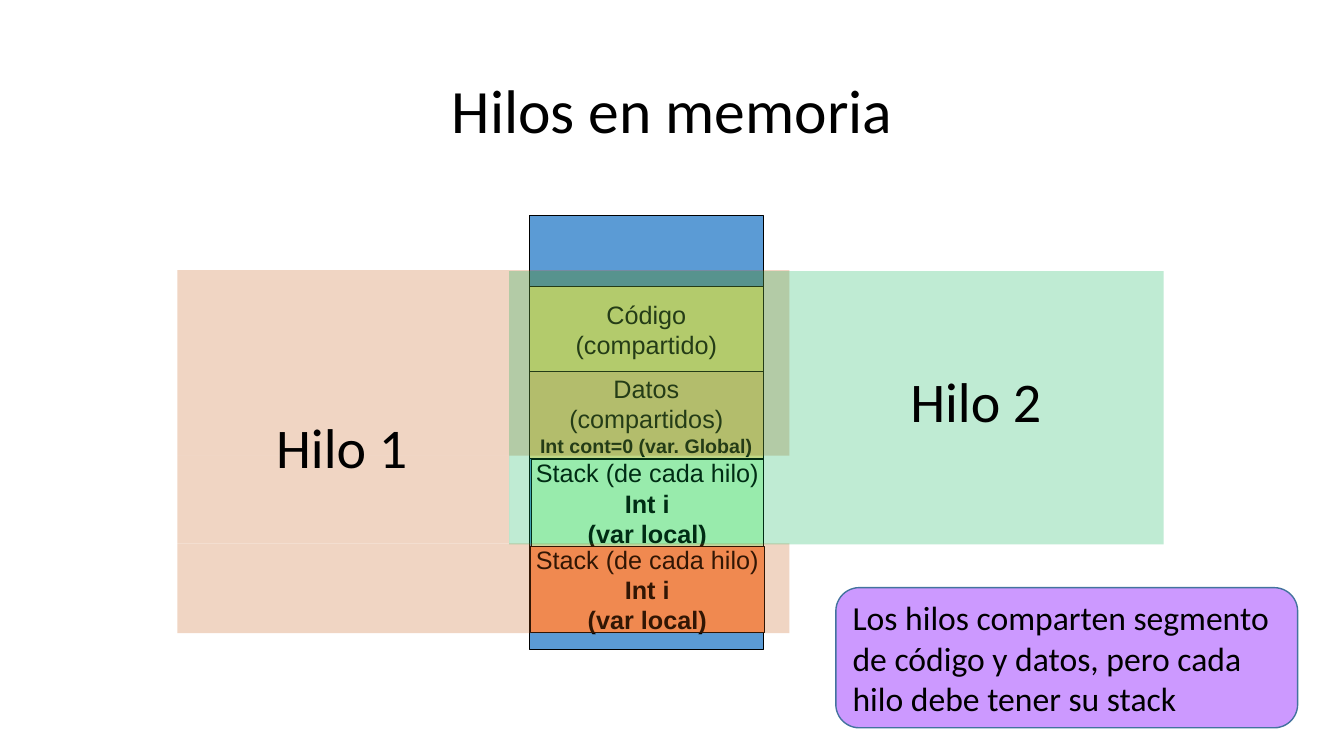
from lxml import etree
from pptx import Presentation
from pptx.dml.color import RGBColor
from pptx.enum.shapes import MSO_SHAPE as SHAPE
from pptx.enum.text import MSO_ANCHOR as ANCHOR, MSO_AUTO_SIZE as AUTO, PP_ALIGN as ALIGN
from pptx.oxml.ns import qn
from pptx.util import Inches, Pt

ARIAL = {"name": "Arial", "size": Pt(18)}
STACK = [("Stack (de cada hilo)", {}), ("Int i", {"bold": True}),
         ("(var local)", {"bold": True})]

# Memory segments: left, top, width, fill, lines
SEGMENT_H = 0.86
SEGMENTS = [
    (5.25, 2.84, 2.32, "FFFF99", [("Código", {}), ("(compartido)", {})]),
    (5.25, 3.69, 2.32, "FFE699",
     [("Datos", {}), ("(compartidos)", {}),
      ("Int cont=0 (var. Global)", {"bold": True, "size": Pt(14)})]),
    (5.27, 4.56, 2.3, "CCFFCC", STACK),
    (5.26, 5.42, 2.32, "FF9966", STACK),
]

# Hilo 1 wraps around the stack of Hilo 2
THREAD_1 = [(1.76, 2.68, 6.07, 1.84), (1.76, 5.39, 6.07, 0.89), (1.76, 4.52, 3.29, 0.87)]
THREAD_2 = (5.05, 2.69, 6.49, 2.71)


def rgb(color):
    return RGBColor.from_string(color)


def set_attrs(obj, values):
    for name, value in values.items():
        setattr(obj, name, value)


def write(sp, lines, font, frame=None, para=None):
    """Fill a shape with paragraphs given as (text, font changes)."""
    tf = sp.text_frame
    set_attrs(tf, {"word_wrap": True, **(frame or {})})
    for i, (text, changes) in enumerate(lines):
        p = tf.paragraphs[0] if i == 0 else tf.add_paragraph()
        set_attrs(p, {"alignment": ALIGN.LEFT, **(para or {})})
        r = p.add_run()
        r.text = text
        set_attrs(r.font, {**font, **changes})
        r.font.color.rgb = rgb("000000")


def add_box(shapes, box, fill, line=None, width=0.75, kind=SHAPE.RECTANGLE):
    sp = shapes.add_shape(kind, *map(Inches, box))
    sp.shadow.inherit = False
    sp.fill.solid()
    sp.fill.fore_color.rgb = rgb(fill)
    if line:
        sp.line.color.rgb = rgb(line)
        sp.line.width = Pt(width)
    else:
        sp.line.fill.background()
    return sp


def add_veil(shapes, box, fill):
    """Borderless rectangle at 25 % opacity."""
    sp = add_box(shapes, box, fill)
    color = sp.element.spPr.find(qn("a:solidFill"))[0]
    etree.SubElement(color, qn("a:alpha")).set("val", "25000")


def add_text(shapes, box, text, size, frame, para=None):
    sp = shapes.add_textbox(*map(Inches, box))
    write(sp, [(text, {})], {"name": "Calibri", "size": Pt(size)}, frame, para)


def main():
    prs = Presentation()
    prs.slide_width, prs.slide_height = Inches(13.33), Inches(7.5)
    shapes = prs.slides.add_slide(prs.slide_layouts[6]).shapes

    # Title
    add_text(shapes, (0.92, 0.4, 11.5, 1.45), "Hilos en memoria", 44,
             {"vertical_anchor": ANCHOR.MIDDLE},
             {"alignment": ALIGN.CENTER, "line_spacing": 0.9})

    # Process memory and its segments
    add_box(shapes, (5.25, 2.14, 2.32, 4.3), "5B9BD5", "000000")
    for left, top, width, fill, lines in SEGMENTS:
        sp = add_box(shapes, (left, top, width, SEGMENT_H), fill, "000000")
        write(sp, lines, ARIAL, {"vertical_anchor": ANCHOR.MIDDLE, "word_wrap": False},
              {"alignment": ALIGN.CENTER})

    # Areas that each thread sees
    group = shapes.add_group_shape()
    for box in THREAD_1:
        add_veil(group.shapes, box, "C55A11")
    add_veil(shapes, THREAD_2, "00B050")

    # Thread names
    for left, top, name in [(2.64, 4.04, "Hilo 1"), (8.93, 3.59, "Hilo 2")]:
        add_text(shapes, (left, top, 1.51, 0.77), name, 40,
                 {"word_wrap": False, "auto_size": AUTO.SHAPE_TO_FIT_TEXT})

    # Conclusion
    note = add_box(shapes, (8.29, 5.83, 4.58, 1.39), "CC99FF", "43739E", 1,
                   SHAPE.ROUNDED_RECTANGLE)
    write(note, [("Los hilos comparten segmento de código y datos, "
                  "pero cada hilo debe tener su stack", {})],
          {"name": "Calibri", "size": Pt(24)}, {"vertical_anchor": ANCHOR.MIDDLE})

    prs.save("out.pptx")


if __name__ == "__main__":
    main()
